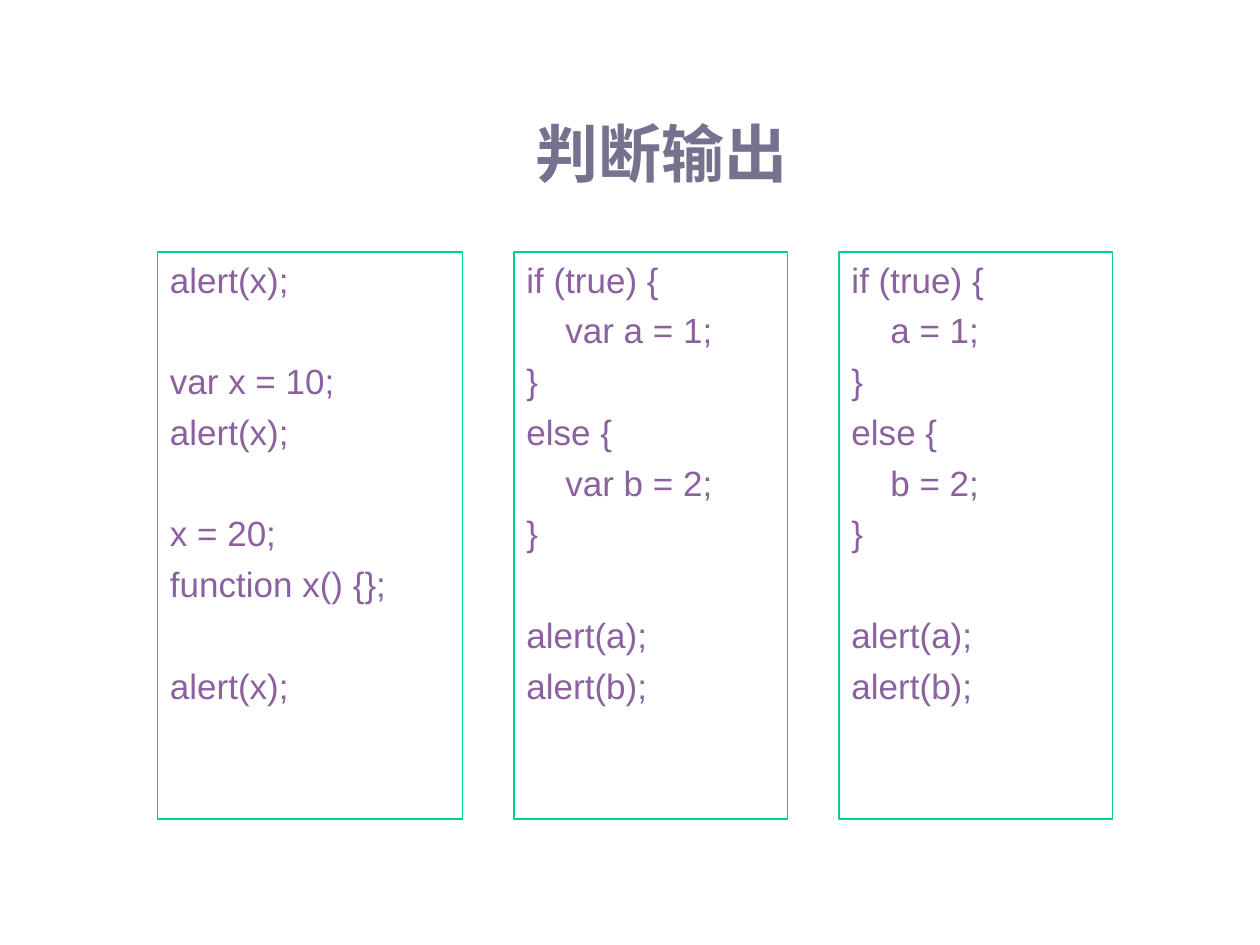
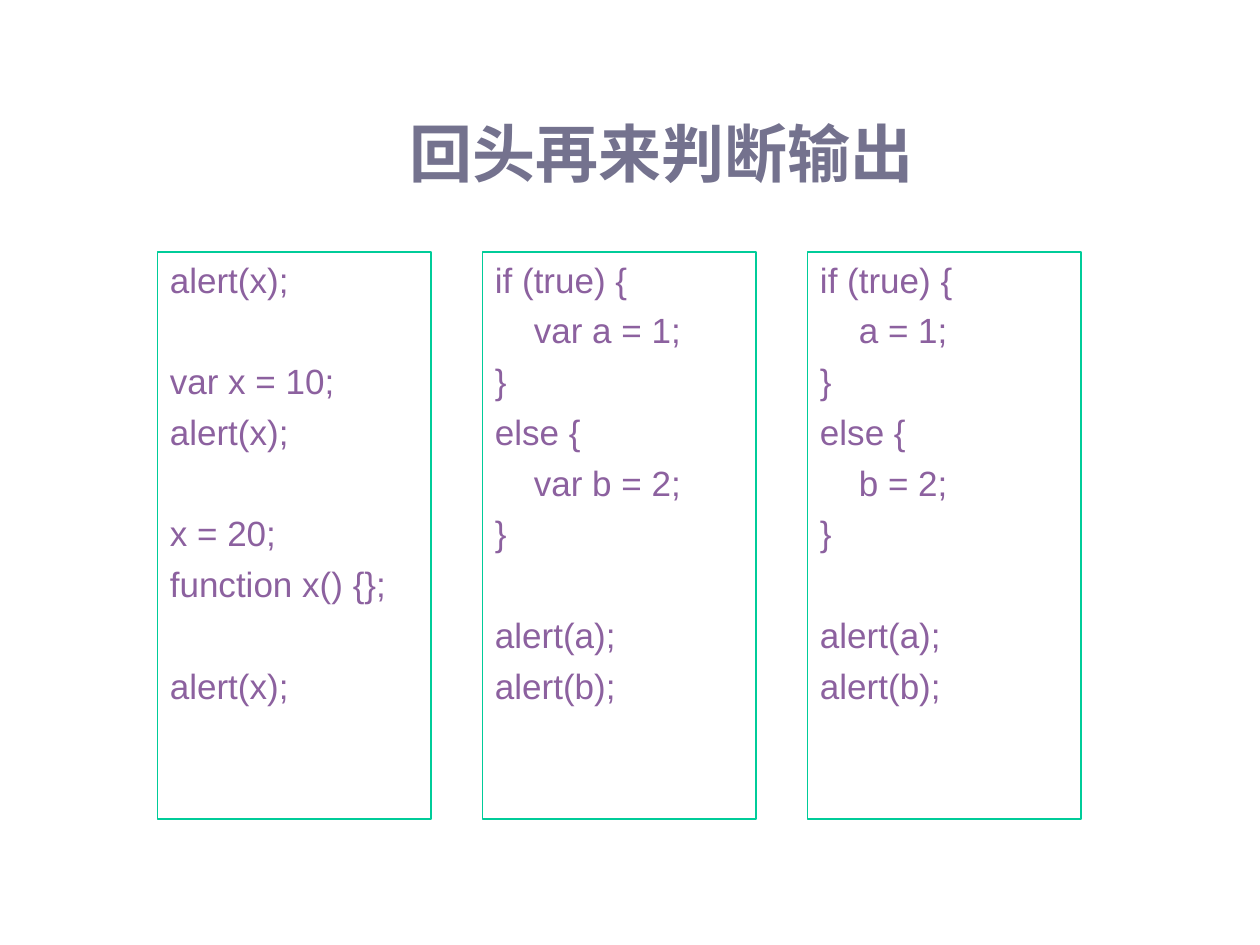
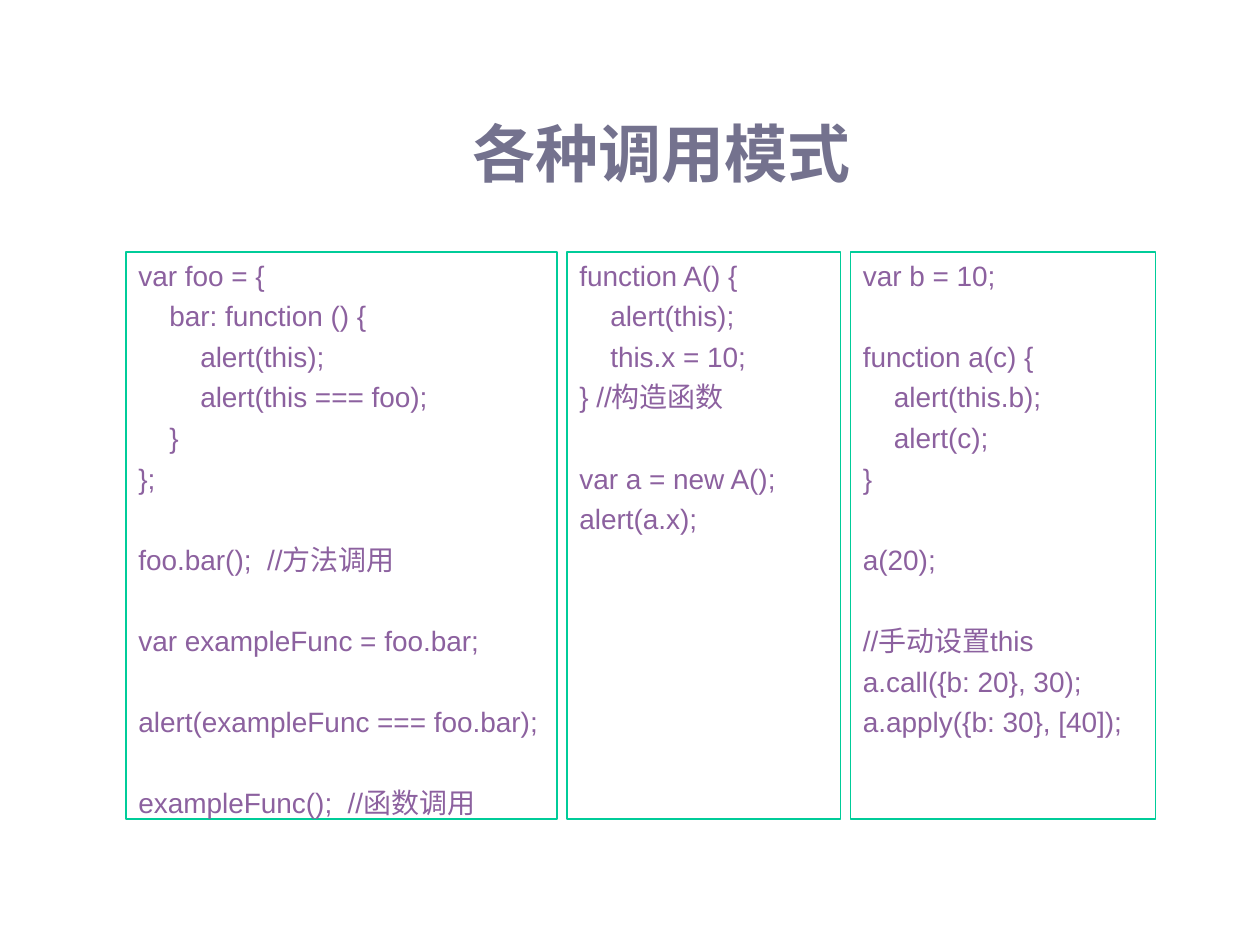
import pptx
import pptx.dml.color
import pptx.enum.shapes
import pptx.enum.text
import pptx.util

Inches = pptx.util.Inches
Pt = pptx.util.Pt

FONT = "Arial"
TITLE_COLOR = "74728E"
CODE_COLOR = "8C619F"
BORDER_COLOR = "00CC99"
PANEL_TOP, PANEL_HEIGHT = 2, 4.5
LINE_HEIGHT = 1.2
SPACE_RATIO = 0.25

HOISTING = """alert(x);

var x = 10;
alert(x);

x = 20;
function x() {};

alert(x);"""

LOCAL_BRANCHES = """if (true) {
    var a = 1;
}
else {
    var b = 2;
}

alert(a);
alert(b);"""

GLOBAL_BRANCHES = LOCAL_BRANCHES.replace("var ", "")

METHOD_CALL = """var foo = {
    bar: function () {
        alert(this);
        alert(this === foo);
    }
};

foo.bar();  //方法调用

var exampleFunc = foo.bar;

alert(exampleFunc === foo.bar);

exampleFunc();  //函数调用"""

CONSTRUCTOR_CALL = """function A() {
    alert(this);
    this.x = 10;
} //构造函数

var a = new A();
alert(a.x);"""

EXPLICIT_CALL = """var b = 10;

function a(c) {
    alert(this.b);
    alert(c);
}

a(20);

//手动设置this
a.call({b: 20}, 30);
a.apply({b: 30}, [40]);"""

SLIDES = [
    {"title": "判断输出", "left": 1.25, "gap": 0.41, "size": 20,
     "panels": [(2.42, 1, HOISTING), (2.17, 0.75, LOCAL_BRANCHES), (2.17, 0.75, GLOBAL_BRANCHES)]},
    {"title": "回头再来判断输出", "left": 1.25, "gap": 0.41, "size": 20,
     "panels": [(2.17, 1, HOISTING), (2.17, 0.75, LOCAL_BRANCHES), (2.17, 0.75, GLOBAL_BRANCHES)]},
    {"title": "各种调用模式", "left": 1, "gap": 0.08, "size": 16,
     "panels": [(3.42, 0.75, METHOD_CALL), (2.17, 0.75, CONSTRUCTOR_CALL), (2.42, 0.75, EXPLICIT_CALL)]},
]


def color(value):
    return pptx.dml.color.RGBColor.from_string(value)


def write_text(shape, text, *, size, text_color, bold=False, align="LEFT", anchor="TOP", hanging=0):
    frame = shape.text_frame
    frame.word_wrap = True
    frame.vertical_anchor = getattr(pptx.enum.text.MSO_ANCHOR, anchor)
    space = size * SPACE_RATIO
    blank_lines = 0
    paragraph = None
    for line in text.split("\n"):
        if not line:
            blank_lines += 1
            continue
        first = paragraph is None
        paragraph = frame.paragraphs[0] if first else frame.add_paragraph()
        paragraph.alignment = getattr(pptx.enum.text.PP_ALIGN, align)
        if not first:
            paragraph.space_before = Pt(space + blank_lines * (size * LINE_HEIGHT + space))
        if hanging:
            properties = paragraph._p.get_or_add_pPr()
            properties.set("marL", str(Inches(hanging)))
            properties.set("indent", str(-Inches(hanging)))
        run = paragraph.add_run()
        run.text = line
        run.font.name = FONT
        run.font.size = Pt(size)
        run.font.bold = bold
        run.font.color.rgb = color(text_color)
        blank_lines = 0


def add_title(slide, title):
    box = slide.shapes.add_textbox(Inches(1), Inches(0.58), Inches(8.5), Inches(1.25))
    write_text(box, title, size=36, text_color=TITLE_COLOR, bold=True, align="CENTER", anchor="MIDDLE")


def add_code_panel(slide, left, width, line_width, code, size):
    panel = slide.shapes.add_shape(
        pptx.enum.shapes.MSO_SHAPE.RECTANGLE,
        Inches(left), Inches(PANEL_TOP), Inches(width), Inches(PANEL_HEIGHT))
    panel.shadow.inherit = False
    panel.fill.background()
    panel.line.color.rgb = color(BORDER_COLOR)
    panel.line.width = Pt(line_width)
    write_text(panel, code, size=size, text_color=CODE_COLOR, hanging=0.38)


def main():
    presentation = pptx.Presentation()
    presentation.slide_width = Inches(10)
    presentation.slide_height = Inches(7.5)
    for content in SLIDES:
        slide = presentation.slides.add_slide(presentation.slide_layouts[6])
        add_title(slide, content["title"])
        left = content["left"]
        for width, line_width, code in content["panels"]:
            add_code_panel(slide, left, width, line_width, code, content["size"])
            left += width + content["gap"]
    presentation.save("out.pptx")


if __name__ == "__main__":
    main()
